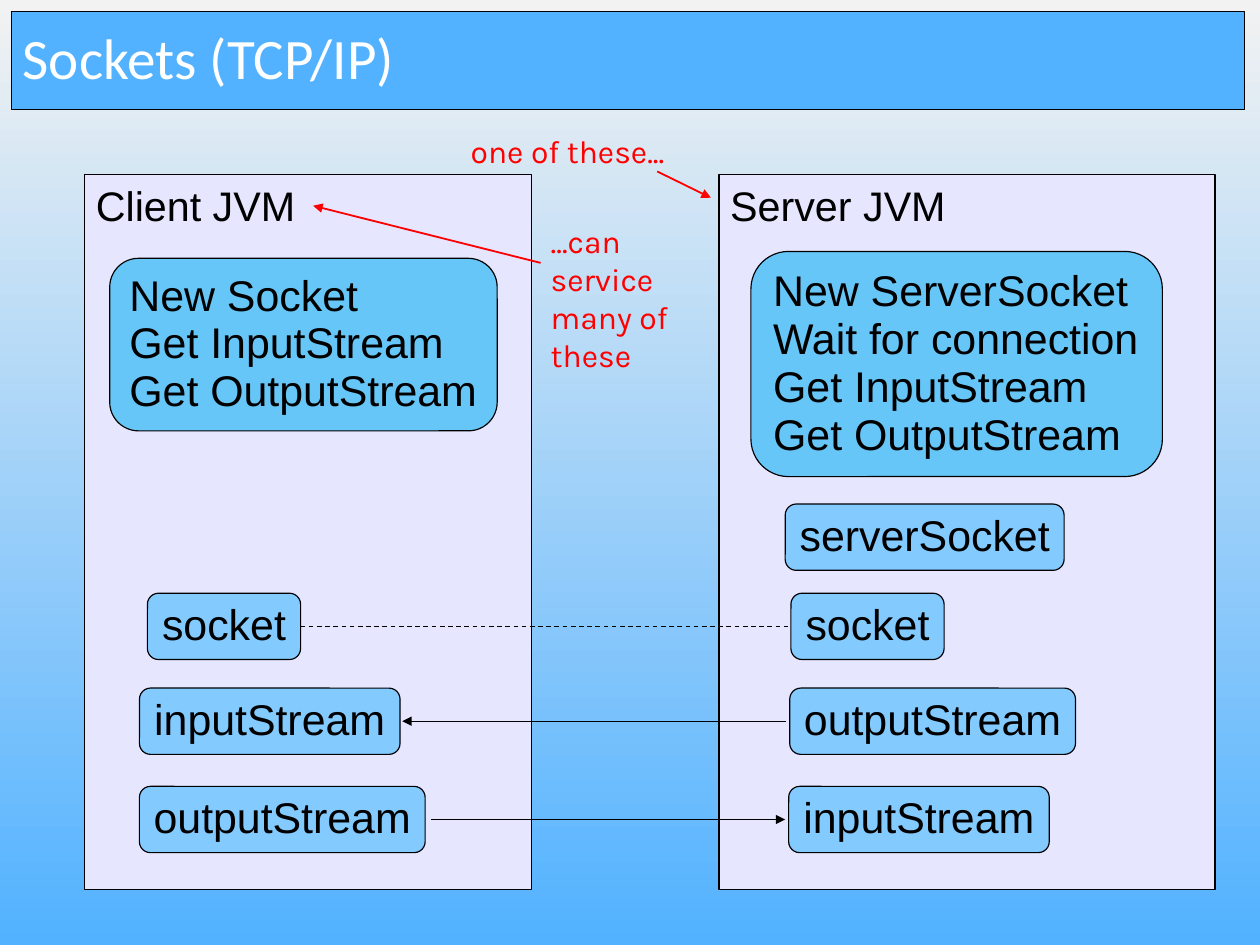
from pptx import Presentation
from pptx.util import Cm, Inches, Pt
from pptx.dml.color import RGBColor
from pptx.enum.dml import MSO_LINE
from pptx.enum.shapes import MSO_CONNECTOR, MSO_SHAPE
from pptx.enum.text import MSO_ANCHOR, MSO_AUTO_SIZE, PP_ALIGN
from pptx.oxml.ns import qn
from lxml import etree

RECT, ROUND = MSO_SHAPE.RECTANGLE, MSO_SHAPE.ROUNDED_RECTANGLE
TOP, MIDDLE = MSO_ANCHOR.TOP, MSO_ANCHOR.MIDDLE
LEFT, CENTER = PP_ALIGN.LEFT, PP_ALIGN.CENTER
FIXED, DASH = MSO_AUTO_SIZE.NONE, MSO_LINE.DASH
STRAIGHT = MSO_CONNECTOR.STRAIGHT

HUES = {"pale": "F2F2F2", "sky": "52B2FF", "panel": "E6E6FF", "steps": "66C6F7",
        "node": "83CAFF", "ink": "000000", "note": "FF0000", "white": "FFFFFF"}
HUES = {name: RGBColor.from_string(code) for name, code in HUES.items()}

deck = Presentation()
deck.slide_width, deck.slide_height = Cm(28), Cm(21)
slide = deck.slides.add_slide(deck.slide_layouts[6])


def label(text, box, form=None, fill=None, font="Arial", size=27, hue="ink",
          align=LEFT, anchor=MIDDLE, space=0.93, wrap=True, inset=0.1):
    """Place text in a filled shape, or in a plain text box if no form is given."""
    place = [Inches(n) for n in box]
    if form is None:
        shape = slide.shapes.add_textbox(*place)
    else:
        shape = slide.shapes.add_shape(form, *place)
        shape.shadow.inherit = False
        shape.fill.solid()
        shape.fill.fore_color.rgb = HUES[fill]
        shape.line.color.rgb = HUES["ink"]
        shape.line.width = Pt(0.75)
    frame = shape.text_frame
    frame.word_wrap = wrap
    frame.auto_size = FIXED
    frame.vertical_anchor = anchor
    frame.margin_left = frame.margin_right = Inches(inset)
    for i, words in enumerate(text.split("\n")):
        para = frame.paragraphs[0] if i == 0 else frame.add_paragraph()
        para.alignment, para.line_spacing = align, space
        run = para.add_run()
        run.text = words
        run.font.name, run.font.size = font, Pt(size)
        run.font.color.rgb = HUES[hue]
    return shape


def link(start, end, hue="ink", width=0.75, arrow=True):
    line = slide.shapes.add_connector(STRAIGHT, *[Inches(n) for n in start + end])
    line.line.color.rgb = HUES[hue]
    line.line.width = Pt(width)
    if arrow:
        tail = etree.SubElement(line.line._get_or_add_ln(), qn("a:tailEnd"))
        tail.set("type", "triangle")
    etree.SubElement(line._element.spPr, qn("a:effectLst"))
    return line


# Background gradient, top to bottom
back = slide.background.fill
back.gradient()
back.gradient_angle = 270
for stop, name in zip(back.gradient_stops, ("pale", "sky")):
    stop.color.rgb = HUES[name]

# Title bar
label("Sockets (TCP/IP)", (0.1, 0.1, 10.79, 0.86), RECT, "sky",
      font="Calibri", size=36, hue="white")

# The two machines and their steps
steps = "Get InputStream\nGet OutputStream"
sides = [
    ("Client JVM", 0.74, 3.91, "New Socket\n" + steps, (0.96, 2.26, 3.39, 1.51)),
    ("Server JVM", 6.29, 4.34, "New ServerSocket\nWait for connection\n" + steps,
     (6.57, 2.2, 3.6, 1.97)),
]
for name, x, wide, todo, box in sides:
    label(name, (x, 1.53, wide, 6.25), RECT, "panel", size=26, anchor=TOP, space=1)
    label(todo, box, ROUND, "steps", wrap=False)

# Objects on each side, one row per kind of channel
rows = {"server": 4.41, "socket": 5.19, "reply": 6.02, "send": 6.88}
wides = {"socket": 1.34, "serverSocket": 2.44, "inputStream": 2.28, "outputStream": 2.5}
tall = 0.58
nodes = [
    ("socket", 1.29, "socket"), ("inputStream", 1.22, "reply"),
    ("outputStream", 1.22, "send"),
    ("serverSocket", 6.87, "server"), ("socket", 6.92, "socket"),
    ("outputStream", 6.91, "reply"), ("inputStream", 6.9, "send"),
]
ends = []
for name, x, row in nodes:
    node = label(name, (x, rows[row], wides[name], tall), ROUND, "node",
                 align=CENTER, wrap=False, inset=0.08)
    if name == "socket":
        ends.append(node)

# Channels between the machines
mid = {row: y + tall / 2 for row, y in rows.items()}
pair = link((2.63, mid["socket"]), (6.92, mid["socket"]), arrow=False)
pair.line.dash_style = DASH
pair.begin_connect(ends[0], 3)
pair.end_connect(ends[1], 1)
link((6.88, mid["reply"]), (3.52, mid["reply"]))
link((3.77, mid["send"]), (6.87, mid["send"]))

# Red remarks with their arrows
for words, box, start, end in [
    ("one of these...", (4.02, 1.1, 2.44, 0.43), (5.75, 1.5), (6.22, 1.73)),
    ("...can service many of these", (4.72, 1.89, 1.57, 1.57), (4.73, 2.3), (2.74, 1.8)),
]:
    label(words, box, font="Karla", size=20, hue="note", anchor=TOP, space=1)
    link(start, end, hue="note", width=1.13)

deck.save("out.pptx")
